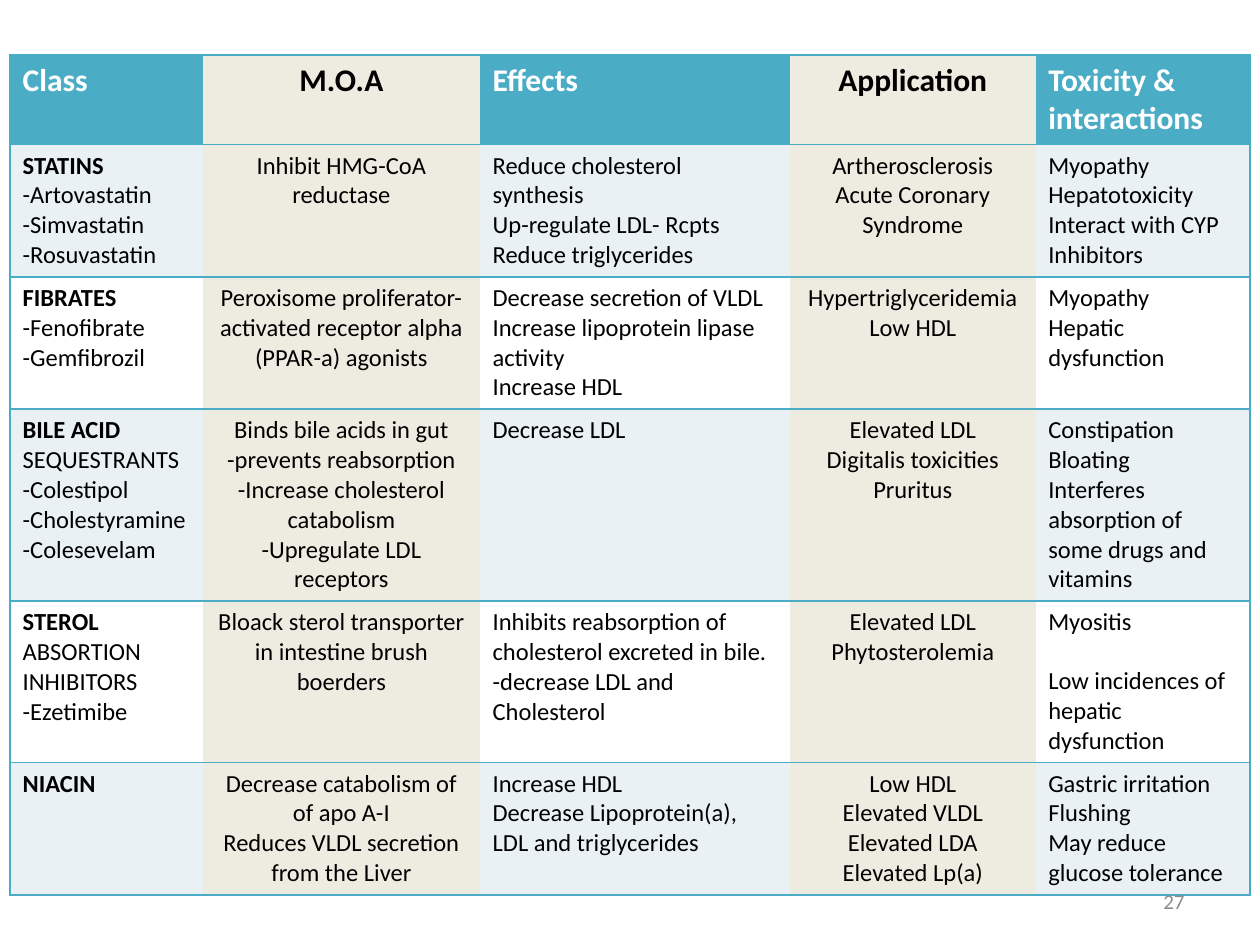
from dataclasses import dataclass

from lxml import etree
from pptx import Presentation, util as u
from pptx.dml.color import RGBColor
from pptx.enum import text
from pptx.oxml import ns


@dataclass(frozen=True)
class Theme:
    font: str = "Calibri"
    teal: str = "4BACC6"
    sand: str = "EEECE1"
    band: str = "E9F1F5"
    white: str = "FFFFFF"
    ink: str = "000000"
    grey: str = "8C8C8C"
    head: int = 18
    body: int = 14
    note: int = 12
    edge: int = 1


COLS = (15.3, 22, 24.6, 19.5, 17)  # percent of slide width
ROWS = (9.5, 14, 14, 20.3, 17.1, 14)  # percent of slide height

# One string per cell, one line per paragraph; "|" ends the bold lead,
# and a leading "^" leaves one line free above the paragraph.
DRUGS = (
    ("Class", "M.O.A", "Effects", "Application", "Toxicity & interactions"),
    ("STATINS|\n-Artovastatin\n-Simvastatin\n-Rosuvastatin",
     "Inhibit HMG-CoA reductase",
     "Reduce cholesterol synthesis\nUp-regulate LDL- Rcpts\nReduce triglycerides",
     "Artherosclerosis\nAcute Coronary Syndrome",
     "Myopathy\nHepatotoxicity\nInteract with CYP Inhibitors"),
    ("FIBRATES|\n-Fenofibrate\n-Gemfibrozil",
     "Peroxisome proliferator-activated receptor alpha (PPAR-a) agonists",
     "Decrease secretion of VLDL\nIncrease lipoprotein lipase activity\nIncrease HDL",
     "Hypertriglyceridemia\nLow HDL",
     "Myopathy\nHepatic dysfunction"),
    ("BILE ACID |SEQUESTRANTS\n-Colestipol\n-Cholestyramine\n-Colesevelam",
     "Binds bile acids in gut\n-prevents reabsorption\n"
     "-Increase cholesterol catabolism\n-Upregulate LDL receptors",
     "Decrease LDL",
     "Elevated LDL\nDigitalis toxicities\nPruritus",
     "Constipation\nBloating\nInterferes absorption of some drugs and vitamins"),
    ("STEROL |ABSORTION INHIBITORS\n-Ezetimibe",
     "Bloack sterol transporter in intestine brush boerders",
     "Inhibits reabsorption of cholesterol excreted in bile.\n"
     "-decrease LDL and Cholesterol",
     "Elevated LDL\nPhytosterolemia",
     "Myositis\n^Low incidences of hepatic dysfunction"),
    ("NIACIN|",
     "Decrease catabolism of of apo A-I\nReduces VLDL secretion from the Liver",
     "Increase HDL\nDecrease Lipoprotein(a), LDL and triglycerides",
     "Low HDL\nElevated VLDL\nElevated LDA\nElevated Lp(a)",
     "Gastric irritation\nFlushing\nMay reduce glucose tolerance"),
)


class Deck:
    def __init__(self, theme):
        self.theme = theme
        self.prs = Presentation()
        self.prs.slide_width, self.prs.slide_height = u.Inches(10), u.Inches(7.5)
        self.slide = self.prs.slides.add_slide(self.prs.slide_layouts[6])

    def wide(self, share):
        return int(self.prs.slide_width * share / 100)

    def high(self, share):
        return int(self.prs.slide_height * share / 100)

    def piece(self, par, words, size, color, bold):
        run = par.add_run()
        run.text = words
        form = {"name": self.theme.font, "size": u.Pt(size), "bold": bold}
        for key, value in form.items():
            setattr(run.font, key, value)
        run.font.color.rgb = RGBColor.from_string(color)

    def label(self, frame, words, size, color, align, bold=False):
        for i, line in enumerate(words.split("\n")):
            par = frame.add_paragraph() if i else frame.paragraphs[0]
            par.alignment = align
            if line.startswith("^"):
                par.space_before = u.Pt(size * 1.2)
            lead, _, rest = line.lstrip("^").rpartition("|")
            for part, heavy in ((lead, True), (rest, bold)):
                if part:
                    self.piece(par, part, size, color, heavy)

    def edges(self, cell, sides):
        """Draw the given sides (of L, R, T, B) and clear the others."""
        props = cell._tc.get_or_add_tcPr()
        for i, side in enumerate("LRTB"):
            line = etree.Element(ns.qn(f"a:ln{side}"), w=str(u.Pt(self.theme.edge)))
            if side in sides:
                fill = etree.SubElement(line, ns.qn("a:solidFill"))
                etree.SubElement(fill, ns.qn("a:srgbClr"), val=self.theme.teal)
            else:
                etree.SubElement(line, ns.qn("a:noFill"))
            props.insert(i, line)

    def table(self, data, left, top, cols, rows):
        t = self.theme
        grid = self.slide.shapes.add_table(
            len(rows), len(cols), self.wide(left), self.high(top),
            self.wide(sum(cols)), self.high(sum(rows))).table
        grid.first_row = grid.horz_banding = False
        for col, share in zip(grid.columns, cols):
            col.width = self.wide(share)
        for row, share in zip(grid.rows, rows):
            row.height = self.high(share)
        last = len(cols) - 1
        for r, line in enumerate(data):
            for c, words in enumerate(line):
                cell, head, mid = grid.cell(r, c), r == 0, c % 2 == 1
                plain = t.teal if head else t.band if r % 2 else t.white
                cell.fill.solid()
                cell.fill.fore_color.rgb = RGBColor.from_string(t.sand if mid else plain)
                self.edges(cell, "TB" + "L" * (c == 0) + "R" * (c == last))
                align = text.PP_ALIGN.CENTER if mid else text.PP_ALIGN.LEFT
                color = t.white if head and not mid else t.ink
                self.label(cell.text_frame, words, t.head if head else t.body,
                           color, align, head)

    def number(self, words, left, top, width, height):
        box = self.slide.shapes.add_textbox(
            self.wide(left), self.high(top), self.wide(width), self.high(height))
        frame = box.text_frame
        form = {"word_wrap": True, "vertical_anchor": text.MSO_ANCHOR.MIDDLE}
        for key, value in form.items():
            setattr(frame, key, value)
        self.label(frame, words, self.theme.note, self.theme.grey, text.PP_ALIGN.RIGHT)


def main():
    deck = Deck(Theme())
    deck.table(DRUGS, 0.8, 5.8, COLS, ROWS)
    deck.number("27", 71.7, 92.7, 23.3, 5.3)
    deck.prs.save("out.pptx")


if __name__ == "__main__":
    main()
